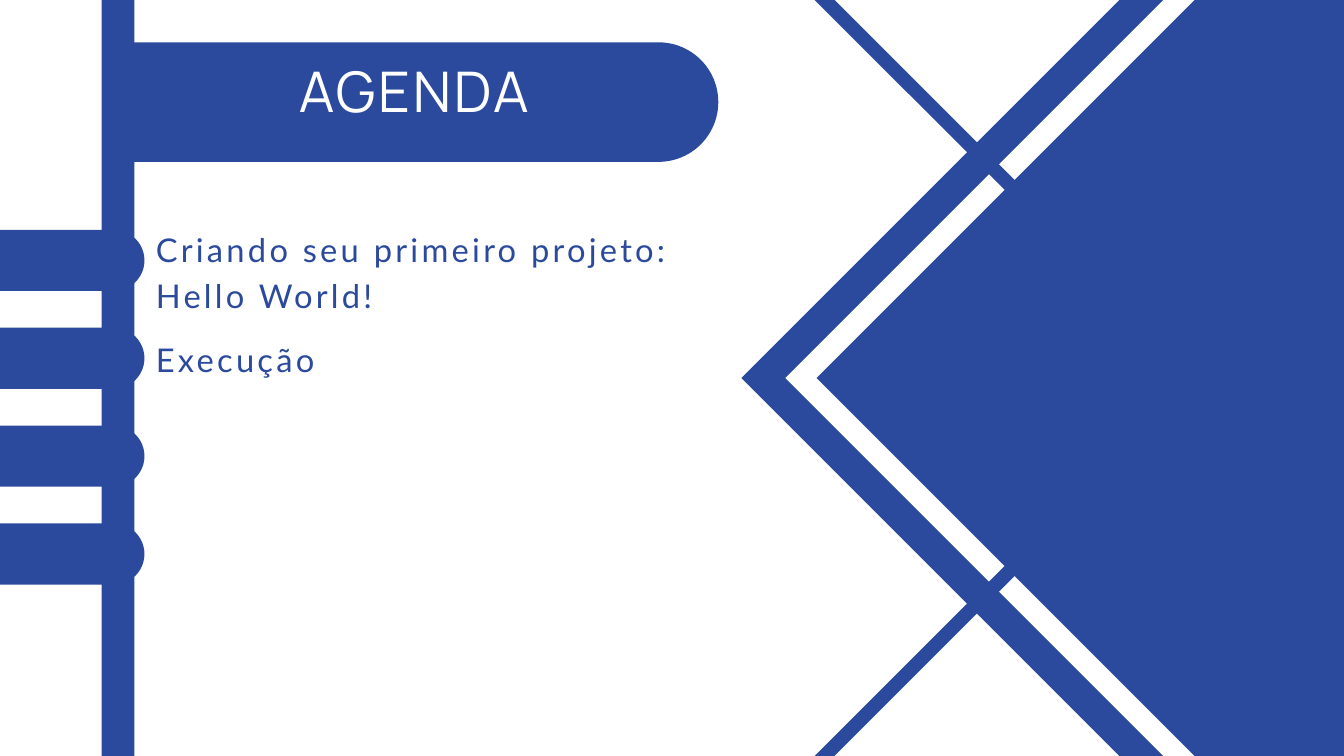
from lxml.etree import SubElement
from pptx import Presentation
from pptx.dml.color import RGBColor
from pptx.enum.shapes import MSO_SHAPE
from pptx.enum.text import MSO_ANCHOR, MSO_AUTO_SIZE, PP_ALIGN
from pptx.oxml.ns import qn
from pptx.util import Cm, Pt

TITLE = "AGENDA"
TOPICS = ["Criando seu primeiro projeto: Hello World!", "Execução"]
COLORS = {"blue": "2B4A9D", "white": "FFFFFF"}
WIDTH, HEIGHT = 50.8, 28.58
MIDDLE = HEIGHT / 2
SPINE = (3.84, 0, 1.24, HEIGHT)
TITLE_TAB = (5.05, 1.6, 22.1, 4.52)
SIDE_TAB = (0, 8.69, 5.46, 2.31)
SIDE_TAB_COUNT, SIDE_TAB_STEP = 4, 3.7
CROSS_OFFSET = 16.62
DIAMONDS = [
    (48.01, MIDDLE, 28.27, None, "blue"),
    (48.13, MIDDLE, 26.09, 0.83, "white"),
    (40.57, MIDDLE + CROSS_OFFSET, 17.12, 0.53, "blue"),
    (40.57, MIDDLE - CROSS_OFFSET, 17.12, 0.53, "blue"),
]


def add_shape(slide, kind, box, color, rotation=0):
    """Add a plain filled shape; box is left, top, width, height in cm."""
    shape = slide.shapes.add_shape(kind, *map(Cm, box))
    shape.shadow.inherit = False
    shape.fill.solid()
    shape.fill.fore_color.rgb = RGBColor.from_string(COLORS[color])
    shape.line.fill.background()
    shape.rotation = rotation
    return shape


def add_diamond(slide, center_x, center_y, side, thickness, color):
    """Add a square turned on its corner, hollow when a thickness is given."""
    kind = MSO_SHAPE.FRAME if thickness else MSO_SHAPE.RECTANGLE
    box = (center_x - side / 2, center_y - side / 2, side, side)
    diamond = add_shape(slide, kind, box, color, 45)
    if thickness:
        diamond.adjustments[0] = thickness / side


def add_tab(slide, left, top, length, thickness):
    """Add a horizontal bar with a round right end."""
    shift = (length - thickness) / 2
    box = (left + shift, top - shift, thickness, length)
    tab = add_shape(slide, MSO_SHAPE.ROUND_2_SAME_RECTANGLE, box, "blue", 90)
    tab.adjustments[0] = 0.5
    tab.adjustments[1] = 0


def write_text(slide, placeholder, box, lines, font, size, color,
               line_spacing, letter_spacing, alignment, gap=0):
    """Move a placeholder to the front and fill it with formatted paragraphs."""
    slide.shapes._spTree.append(placeholder._element)
    placeholder.left, placeholder.top, placeholder.width, placeholder.height = map(Cm, box)
    frame = placeholder.text_frame
    frame.margin_left = frame.margin_top = frame.margin_right = frame.margin_bottom = 0
    frame.word_wrap = True
    frame.auto_size = MSO_AUTO_SIZE.NONE
    frame.vertical_anchor = MSO_ANCHOR.TOP
    for index, line in enumerate(lines):
        paragraph = frame.add_paragraph() if index else frame.paragraphs[0]
        run = paragraph.add_run()
        run.text = line
        run._r.get_or_add_rPr().set("spc", str(int(letter_spacing * 100)))
        paragraph.alignment = alignment
        paragraph.line_spacing = Pt(line_spacing)
        paragraph.space_before = Pt(gap if index else 0)
        properties = paragraph._p.get_or_add_pPr()
        properties.set("marL", "0")
        properties.set("indent", "0")
        SubElement(properties, qn("a:buNone"))
        paragraph.font.name = font
        paragraph.font.size = Pt(size)
        paragraph.font.color.rgb = RGBColor.from_string(COLORS[color])


def main():
    """Build the agenda slide."""
    presentation = Presentation()
    presentation.slide_width, presentation.slide_height = Cm(WIDTH), Cm(HEIGHT)
    slide = presentation.slides.add_slide(presentation.slide_layouts[1])
    title, body = slide.placeholders
    add_shape(slide, MSO_SHAPE.RECTANGLE, SPINE, "blue")
    for diamond in DIAMONDS:
        add_diamond(slide, *diamond)
    add_tab(slide, *TITLE_TAB)
    left, top, length, thickness = SIDE_TAB
    for index in range(SIDE_TAB_COUNT):
        add_tab(slide, left, top + index * SIDE_TAB_STEP, length, thickness)
    write_text(slide, title, (5.89, 2.44, 19.51, 2.49), [TITLE], "Manrope", 60,
               "white", 63, 3, PP_ALIGN.CENTER)
    write_text(slide, body, (5.89, 8.46, 20.4, 5.79), TOPICS, "Lato", 35,
               "blue", 49, 3.5, PP_ALIGN.LEFT, gap=19)
    presentation.save("out.pptx")


if __name__ == "__main__":
    main()
